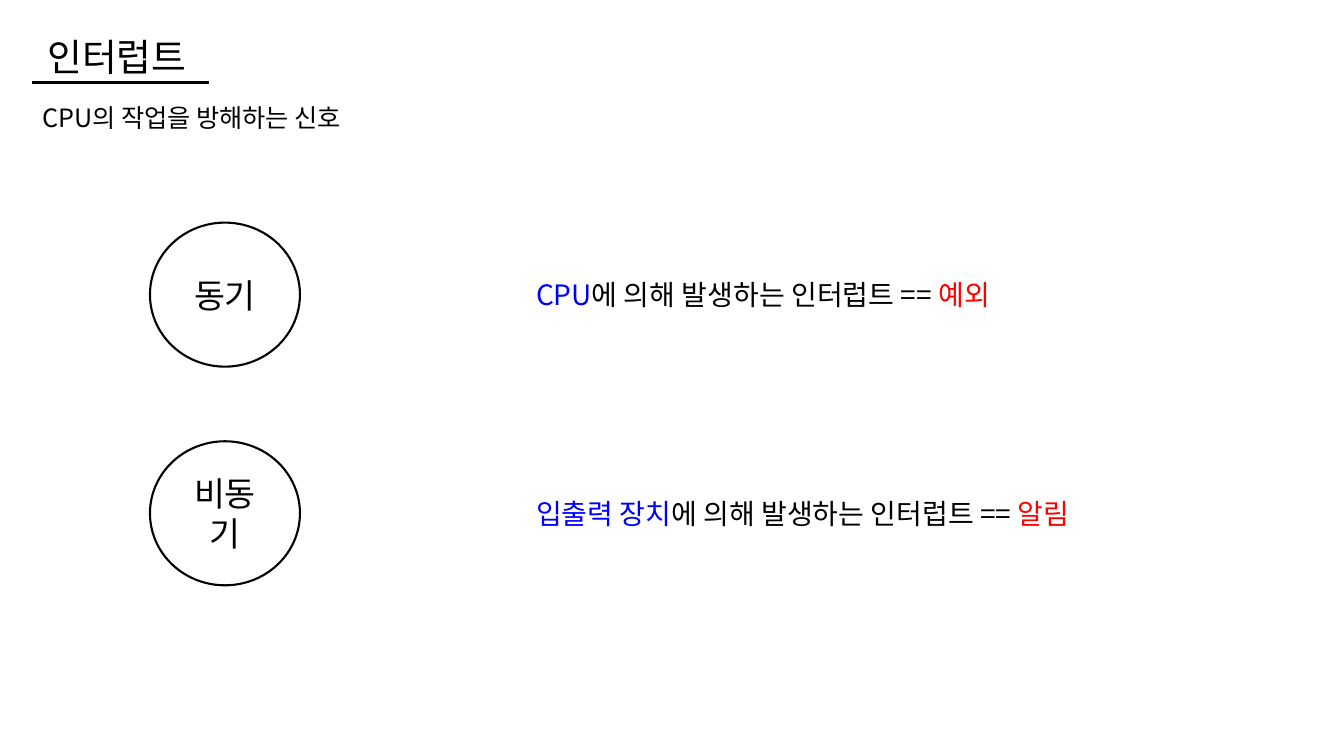
from lxml import etree
from pptx import Presentation
from pptx import util as u
from pptx.dml.color import RGBColor
from pptx.enum import shapes, text
from pptx.oxml import ns

TYPEFACE = "Noto Sans CJK KR"
BLACK, BLUE, RED = "000000", "0000FF", "FF0000"

HEADING = "인터럽트"
SUMMARY = "CPU의 작업을 방해하는 신호"
INTERRUPTS = [
    ("동기", "CPU", "예외", 13.36),
    ("비동기", "입출력 장치", "알림", 14.94),
]
LINK = "에 의해 발생하는 인터럽트 == "

FIRST_TOP, ROW_STEP = 5.61, 5.51
CIRCLE_LEFT, CIRCLE_WIDTH, CIRCLE_HEIGHT = 3.78, 3.78, 3.63
CAUSE_LEFT, CAUSE_HEIGHT = 13.26, 1.09


def color(value):
    return RGBColor.from_string(value)


def box(*lengths):
    return [u.Cm(length) for length in lengths]


def write(frame, parts, size, align=text.PP_ALIGN.LEFT, anchor=text.MSO_ANCHOR.TOP):
    frame.word_wrap = True
    frame.auto_size = text.MSO_AUTO_SIZE.NONE
    frame.vertical_anchor = anchor
    paragraph = frame.paragraphs[0]
    paragraph.alignment = align
    paragraph.font.size = u.Pt(size)
    paragraph.font.name = TYPEFACE
    paragraph.font.color.rgb = color(BLACK)
    defaults = paragraph._p.pPr.find(ns.qn("a:defRPr"))
    etree.SubElement(defaults, ns.qn("a:ea"), typeface=TYPEFACE)
    for words, shade in parts:
        run = paragraph.add_run()
        run.text = words
        if shade != BLACK:
            run.font.color.rgb = color(shade)


def main():
    deck = Presentation()
    deck.slide_width, deck.slide_height = box(33.87, 19.05)
    slide = deck.slides.add_slide(deck.slide_layouts[5])

    heading = slide.shapes.title
    heading.left, heading.top, heading.width, heading.height = box(0.94, 0.71, 4.75, 1.4)
    write(heading.text_frame, [(HEADING, BLACK)], 27)

    underline = slide.shapes.add_connector(
        shapes.MSO_CONNECTOR.STRAIGHT, *box(0.81, 2.08, 5.26, 2.08))
    underline.line.color.rgb = color(BLACK)
    underline.line.width = u.Pt(2.25)
    etree.SubElement(underline._element.spPr, ns.qn("a:effectLst"))

    summary = slide.shapes.add_textbox(*box(0.81, 2.46, 16.61, 1.02))
    write(summary.text_frame, [(SUMMARY, BLACK)], 18)

    for row, (kind, cause, result, cause_width) in enumerate(INTERRUPTS):
        top = FIRST_TOP + row * ROW_STEP
        circle = slide.shapes.add_shape(
            shapes.MSO_SHAPE.OVAL, *box(CIRCLE_LEFT, top, CIRCLE_WIDTH, CIRCLE_HEIGHT))
        circle.shadow.inherit = False
        circle.fill.background()
        circle.line.color.rgb = color(BLACK)
        circle.line.width = u.Pt(1.5)
        write(circle.text_frame, [(kind, BLACK)], 24,
              text.PP_ALIGN.CENTER, text.MSO_ANCHOR.MIDDLE)

        cause_top = top + (CIRCLE_HEIGHT - CAUSE_HEIGHT) / 2
        meaning = slide.shapes.add_textbox(
            *box(CAUSE_LEFT, cause_top, cause_width, CAUSE_HEIGHT))
        write(meaning.text_frame, [(cause, BLUE), (LINK, BLACK), (result, RED)], 20)

    deck.save("out.pptx")


if __name__ == "__main__":
    main()
